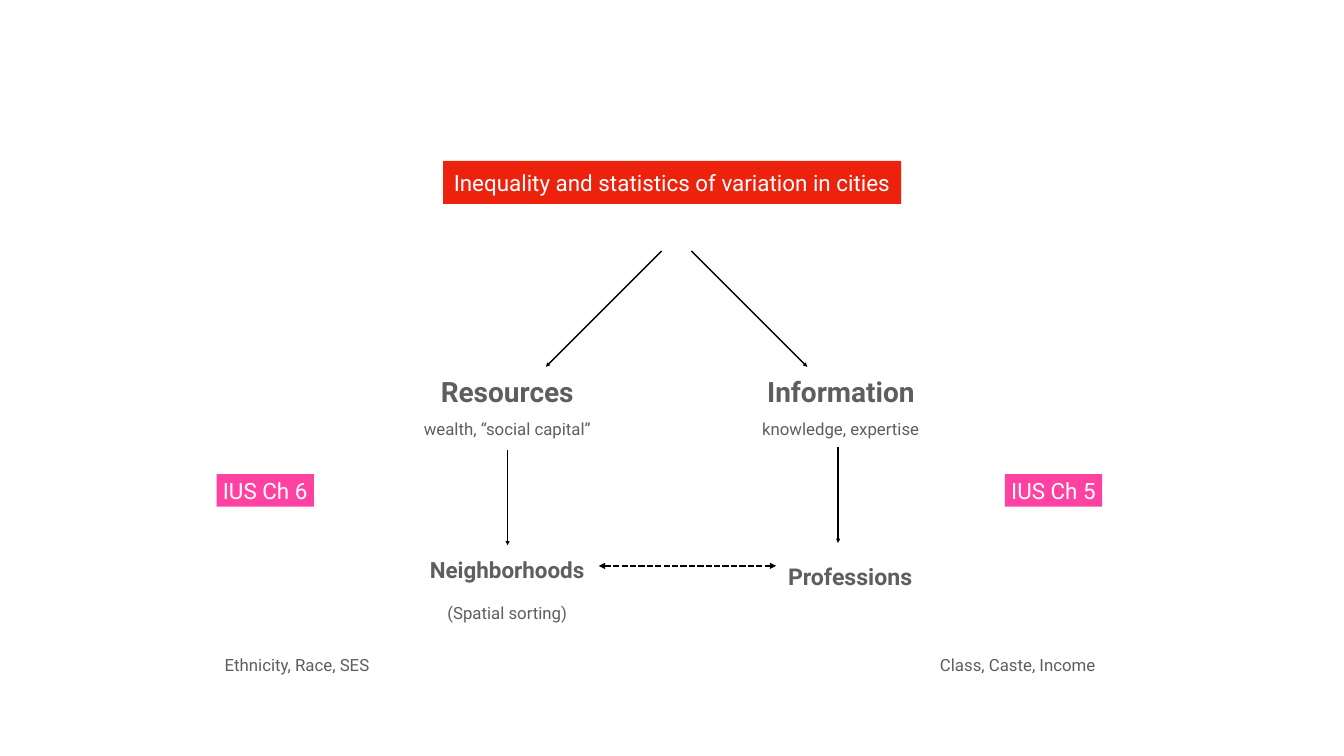
from dataclasses import dataclass

from lxml import etree
from pptx import Presentation
from pptx.dml.color import RGBColor
from pptx.enum.dml import MSO_LINE
from pptx.enum.shapes import MSO_CONNECTOR, MSO_SHAPE
from pptx.enum.text import MSO_ANCHOR, MSO_AUTO_SIZE, PP_ALIGN
from pptx.oxml.ns import qn
from pptx.util import Cm, Pt

STRAIGHT = MSO_CONNECTOR.STRAIGHT
RECT = MSO_SHAPE.RECTANGLE
DASH = MSO_LINE.SQUARE_DOT
MIDDLE = MSO_ANCHOR.MIDDLE
GROW = MSO_AUTO_SIZE.SHAPE_TO_FIT_TEXT
CENTER = PP_ALIGN.CENTER

FONT = "Roboto"
INSET = 0.15
COLORS = {"red": "ED220D", "pink": "FF42A1", "gray": "5E5E5E",
          "white": "FFFFFF", "black": "000000"}


@dataclass
class Label:
    text: str
    left: float
    top: float
    width: float
    height: float
    size: int = 24
    bold: bool = False
    foot: float = INSET
    sub: str = ""


@dataclass
class Arrow:
    start: tuple[float, float]
    end: tuple[float, float]
    both: bool = False


TITLE = Label("Inequality and statistics of variation in cities",
              22.33, 8.38, 23.09, 1.63, 32)

LABELS = [
    Label("Resources", 21.82, 18.75, 7.49, 1.98, 40, True),
    Label("Information", 38.33, 18.75, 8.1, 1.98, 40, True),
    Label("Neighborhoods", 21.26, 27.89, 8.61, 3.68, 32, True,
          sub="(Spatial sorting)"),
    Label("Professions", 39.42, 27.69, 6.86, 4.11, 33, True, foot=1.52),
    Label("wealth, “social capital”", 21.11, 20.98, 8.92, 1.27),
    Label("knowledge, expertise", 38.18, 20.98, 8.38, 1.27),
    Label("Ethnicity, Race, SES", 10.97, 32.87, 8, 1.27),
    Label("Class, Caste, Income", 46.99, 32.87, 8.61, 1.27),
]

TAGS = [
    Label("IUS Ch 5", 50.65, 23.9, 4.9, 1.63, 32),
    Label("IUS Ch 6", 10.92, 23.9, 4.9, 1.63, 32),
]

ARROWS = [
    Arrow((33.35, 12.65), (27.51, 18.49)),
    Arrow((34.85, 12.65), (40.69, 18.49)),
    Arrow((42.24, 22.53), (42.24, 27.36)),
    Arrow((25.58, 22.66), (25.58, 27.48)),
    Arrow((30.18, 28.52), (39.12, 28.52), both=True),
]


def color(name: str) -> RGBColor:
    return RGBColor.from_string(COLORS[name])


def area(label: Label) -> tuple[Cm, Cm, Cm, Cm]:
    return (Cm(label.left), Cm(label.top), Cm(label.width), Cm(label.height))


def write(par, text: str, *, size: int = 24, bold: bool = False,
          tone: str = "gray", gap: int = 0) -> None:
    par.alignment = CENTER
    par.space_before = Pt(gap)
    run = par.add_run()
    run.text = text
    run.font.name = FONT
    run.font.size = Pt(size)
    run.font.bold = bold
    run.font.color.rgb = color(tone)


def fill_text(shape, label: Label, tone: str) -> None:
    frame = shape.text_frame
    frame.margin_left = frame.margin_right = frame.margin_top = Cm(INSET)
    frame.margin_bottom = Cm(label.foot)
    frame.vertical_anchor = MIDDLE
    frame.word_wrap = False
    frame.auto_size = GROW
    write(frame.paragraphs[0], label.text, size=label.size,
          bold=label.bold, tone=tone)
    if label.sub:
        write(frame.add_paragraph(), label.sub, gap=28)


def draw_title(slide, label: Label) -> None:
    title = slide.shapes.title
    title.left, title.top, title.width, title.height = area(label)
    title.fill.solid()
    title.fill.fore_color.rgb = color("red")
    fill_text(title, label, "white")


def draw_label(slide, label: Label) -> None:
    fill_text(slide.shapes.add_textbox(*area(label)), label, "gray")


def draw_tag(slide, label: Label) -> None:
    tag = slide.shapes.add_shape(RECT, *area(label))
    tag.shadow.inherit = False
    tag.fill.solid()
    tag.fill.fore_color.rgb = color("pink")
    tag.line.fill.background()
    fill_text(tag, label, "white")


def draw_arrow(slide, arrow: Arrow) -> None:
    ends = [Cm(n) for n in (*arrow.start, *arrow.end)]
    link = slide.shapes.add_connector(STRAIGHT, *ends)
    link.line.color.rgb = color("black")
    link.line.width = Pt(3 if arrow.both else 2)
    if arrow.both:
        link.line.dash_style = DASH
    props = link._element.spPr
    stroke = props.find(qn("a:ln"))
    for tip in ("a:headEnd", "a:tailEnd") if arrow.both else ("a:tailEnd",):
        etree.SubElement(stroke, qn(tip), type="triangle")
    etree.SubElement(props, qn("a:effectLst"))


def main() -> None:
    deck = Presentation()
    deck.slide_width, deck.slide_height = Cm(67.74), Cm(38.1)
    slide = deck.slides.add_slide(deck.slide_layouts[5])
    draw_title(slide, TITLE)
    for label in LABELS:
        draw_label(slide, label)
    for tag in TAGS:
        draw_tag(slide, tag)
    for arrow in ARROWS:
        draw_arrow(slide, arrow)
    deck.save("out.pptx")


if __name__ == "__main__":
    main()
